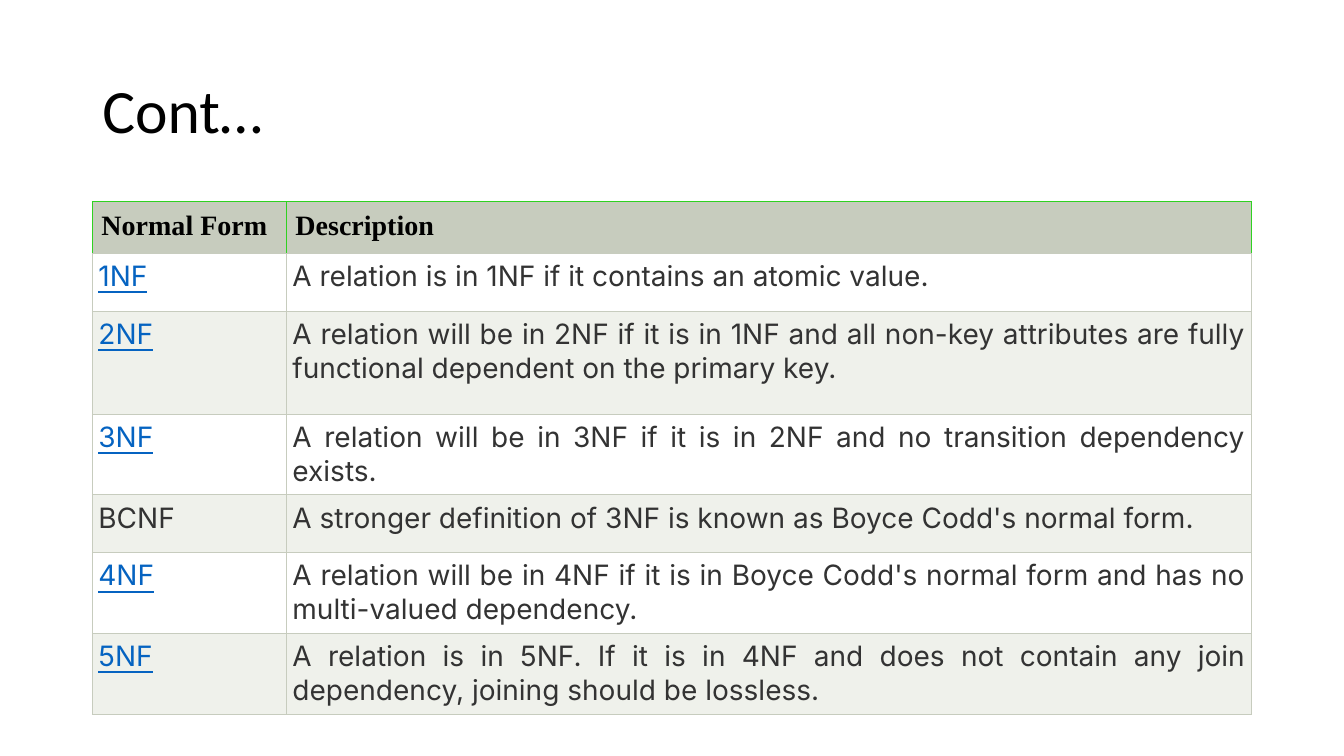
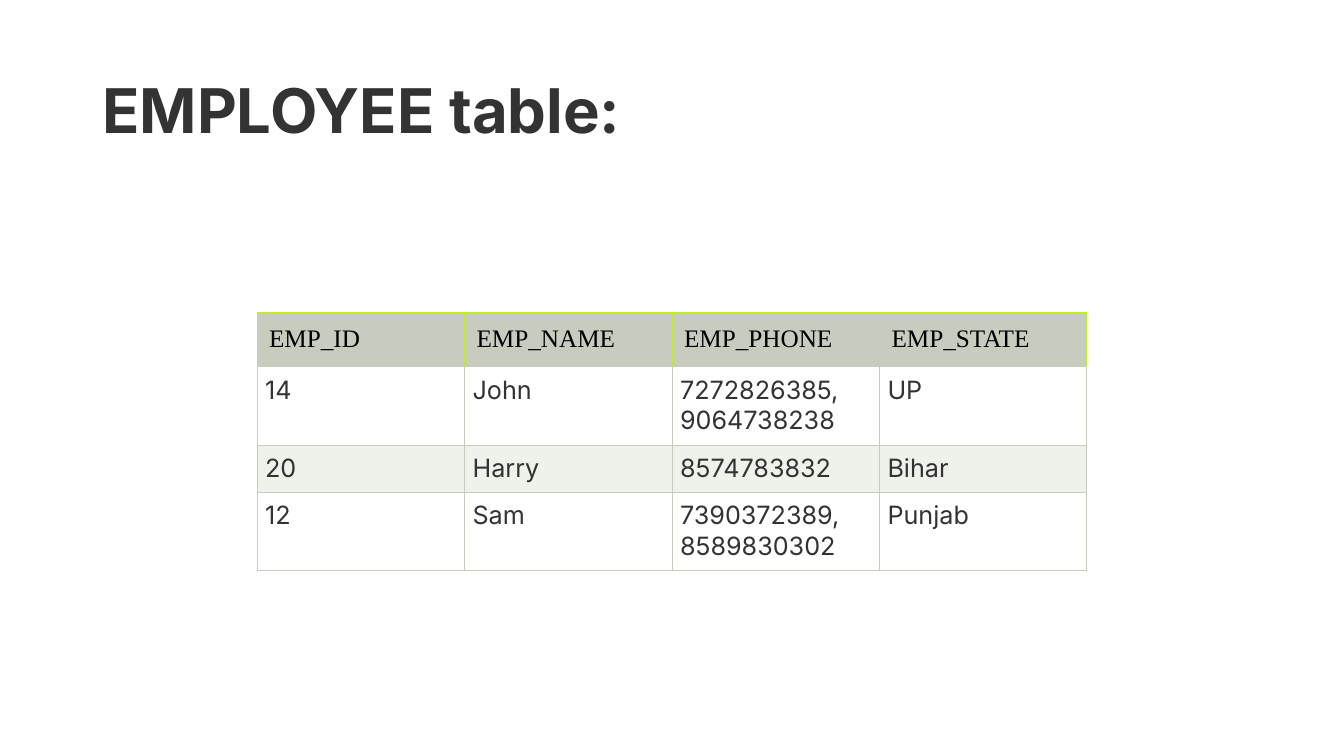
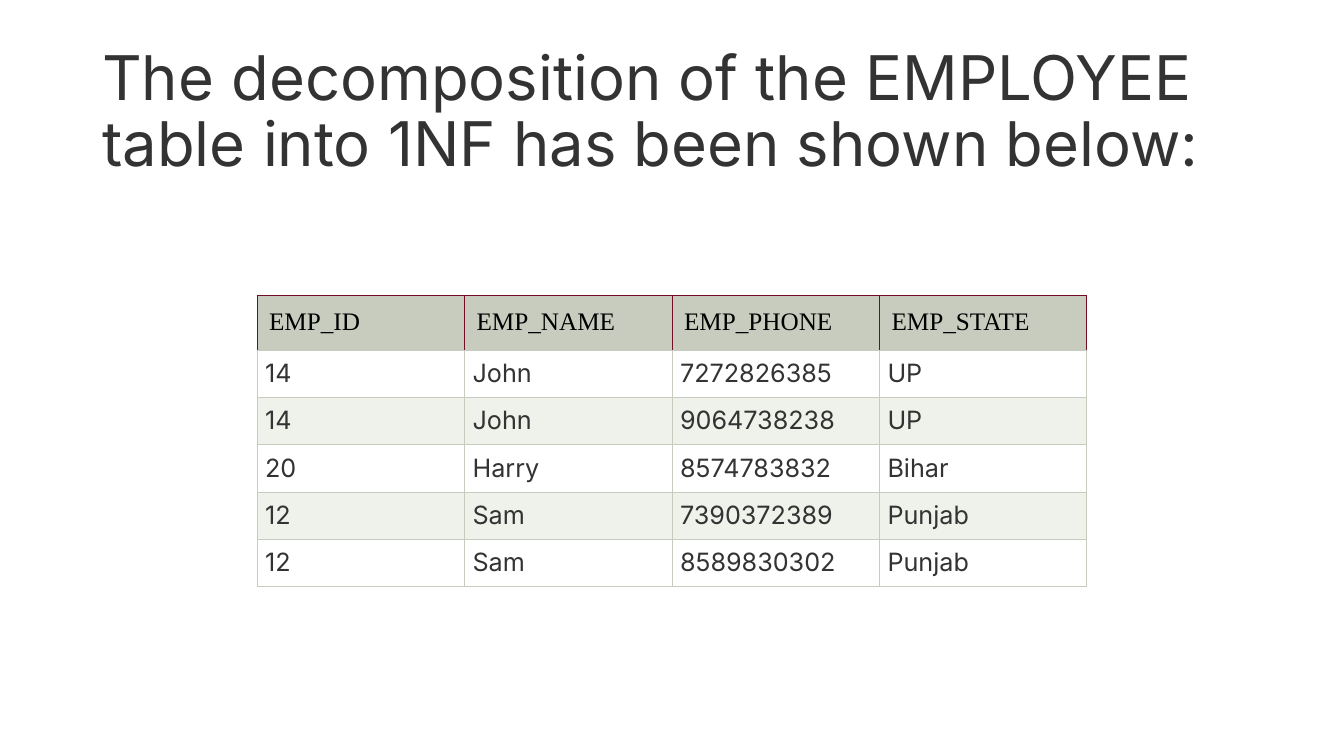
from dataclasses import dataclass

from lxml import etree
from pptx import Presentation, util as u
from pptx.dml import color as dml
from pptx.enum import text
from pptx.oxml import ns


@dataclass(frozen=True)
class Theme:
    """Colours, fonts, type sizes and line weight shared by the slides."""
    ink: str = "333333"
    black: str = "000000"
    link: str = "0563C1"
    header: str = "C7CCBE"
    bands: tuple = ("FFFFFF", "EFF1EB")
    heading_font: str = "Times New Roman"
    body_font: str = "Inter"
    plain_font: str = "Calibri"
    title_size: int = 44
    border_weight: float = 0.75


THEME = Theme()
COLUMNS, ROWS = 160, 90
UNIT = u.Inches(7.5) / ROWS


def grid(count):
    """Turn a number of grid columns or rows into a length."""
    return u.Emu(round(count * UNIT))


def write(frame, words, font, size, color=THEME.ink, bold=False,
          underline=False, align=text.PP_ALIGN.LEFT, spacing=None):
    """Put words into the first paragraph of a frame with one format."""
    para = frame.paragraphs[0]
    para.text = words
    para.alignment = align
    if spacing:
        para.line_spacing = spacing
    for span in para.runs:
        span.font.name = font
        span.font.size = u.Pt(size)
        span.font.bold = bold
        span.font.underline = underline
        span.font.color.rgb = dml.RGBColor.from_string(color)


def draw_borders(cell, sides, bottom):
    """Draw the four edges of a table cell."""
    properties = cell._tc.get_or_add_tcPr()
    for edge, color in zip("LRTB", (sides, sides, sides, bottom)):
        line = etree.SubElement(properties, ns.qn(f"a:ln{edge}"),
                                w=str(u.Pt(THEME.border_weight)))
        fill = etree.SubElement(line, ns.qn("a:solidFill"))
        etree.SubElement(fill, ns.qn("a:srgbClr"), val=color)


class Deck:
    """Hold the presentation, its style and the current slide."""

    def __init__(self, theme):
        """Start an empty widescreen presentation."""
        self.theme = theme
        self.deck = Presentation()
        self.deck.slide_width = grid(COLUMNS)
        self.deck.slide_height = grid(ROWS)

    def add_page(self, title, font=THEME.body_font, color=THEME.ink, bold=False):
        """Add a blank slide with its title."""
        self.page = self.deck.slides.add_slide(self.deck.slide_layouts[6])
        box = self.page.shapes.add_textbox(grid(11), grid(4.8), grid(138), grid(17.4))
        box.text_frame.word_wrap = True
        box.text_frame.vertical_anchor = text.MSO_ANCHOR.MIDDLE
        write(box.text_frame, title, font, self.theme.title_size,
              color=color, bold=bold, spacing=0.9)

    def fill_cell(self, cell, words, fill, inset, sides, **style):
        """Give a cell its text, margins, edges and fill."""
        cell.margin_left = cell.margin_right = u.Inches(inset)
        cell.margin_top = cell.margin_bottom = u.Inches(inset)
        write(cell.text_frame, words, **style)
        draw_borders(cell, sides, self.theme.header)
        cell.fill.solid()
        cell.fill.fore_color.rgb = dml.RGBColor.from_string(fill)

    def add_table(self, left, top, widths, heights, header, records, size,
                  accent, insets, bold_header=False, links=()):
        """Add a table with an accented header and banded rows."""
        theme = self.theme
        table = self.page.shapes.add_table(
            len(heights), len(widths), grid(left), grid(top),
            grid(sum(widths)), grid(sum(heights))).table
        table.first_row = table.horz_banding = False
        for column, width in zip(table.columns, widths):
            column.width = grid(width)
        for row, height in zip(table.rows, heights):
            row.height = grid(height)
        header_inset, body_inset = insets
        for cell, words in zip(table.rows[0].cells, header):
            self.fill_cell(cell, words, theme.header, header_inset, accent,
                           font=theme.heading_font, size=size,
                           color=theme.black, bold=bold_header)
        for index, record in enumerate(records):
            for cell, words in zip(table.rows[index + 1].cells, record):
                linked = words in links
                self.fill_cell(cell, words, theme.bands[index % 2], body_inset,
                               theme.header, font=theme.body_font, size=size,
                               color=theme.link if linked else theme.ink,
                               underline=linked, align=text.PP_ALIGN.JUSTIFY)

    def add_employees(self, top, heights, records, accent):
        """Add an employee table."""
        self.add_table(30.6, top, [24.7] * 4, [6.3] + heights,
                       ("EMP_ID", "EMP_NAME", "EMP_PHONE", "EMP_STATE"),
                       records, 18, accent, (0.12, 0.08))


NORMAL_FORMS = [
    ("1NF", "A relation is in 1NF if it contains an atomic value."),
    ("2NF", "A relation will be in 2NF if it is in 1NF and all non-key attributes "
            "are fully functional dependent on the primary key."),
    ("3NF", "A relation will be in 3NF if it is in 2NF and no transition "
            "dependency exists."),
    ("BCNF", "A stronger definition of 3NF is known as Boyce Codd's normal form."),
    ("4NF", "A relation will be in 4NF if it is in Boyce Codd's normal form and "
            "has no multi-valued dependency."),
    ("5NF", "A relation is in 5NF. If it is in 4NF and does not contain any join "
            "dependency, joining should be lossless."),
]
EMPLOYEES = [
    ("14", "John", ("7272826385", "9064738238"), "UP"),
    ("20", "Harry", ("8574783832",), "Bihar"),
    ("12", "Sam", ("7390372389", "8589830302"), "Punjab"),
]


def main():
    """Build and save the three slides."""
    deck = Deck(THEME)

    deck.add_page("Cont…", font=THEME.plain_font, color=THEME.black)
    deck.add_table(11, 24, [23.1, 114.9], [6, 6.9, 12.25, 9.6, 6.9, 9.6, 9.6],
                   ("Normal Form", "Description"), NORMAL_FORMS, 20, "30D122",
                   (0.09, 0.06), bold_header=True,
                   links=("1NF", "2NF", "3NF", "4NF", "5NF"))

    deck.add_page("EMPLOYEE table:", bold=True)
    grouped = [(number, name, ",\n".join(phones), state)
               for number, name, phones, state in EMPLOYEES]
    deck.add_employees(37.2, [9.3, 5.64, 9.3], grouped, "C0EC27")

    deck.add_page("The decomposition of the EMPLOYEE table into 1NF has been shown below:")
    atomic = [(number, name, phone, state)
              for number, name, phones, state in EMPLOYEES for phone in phones]
    deck.add_employees(35.2, [5.64] * len(atomic), atomic, "700C26")

    deck.deck.save("out.pptx")


if __name__ == "__main__":
    main()
